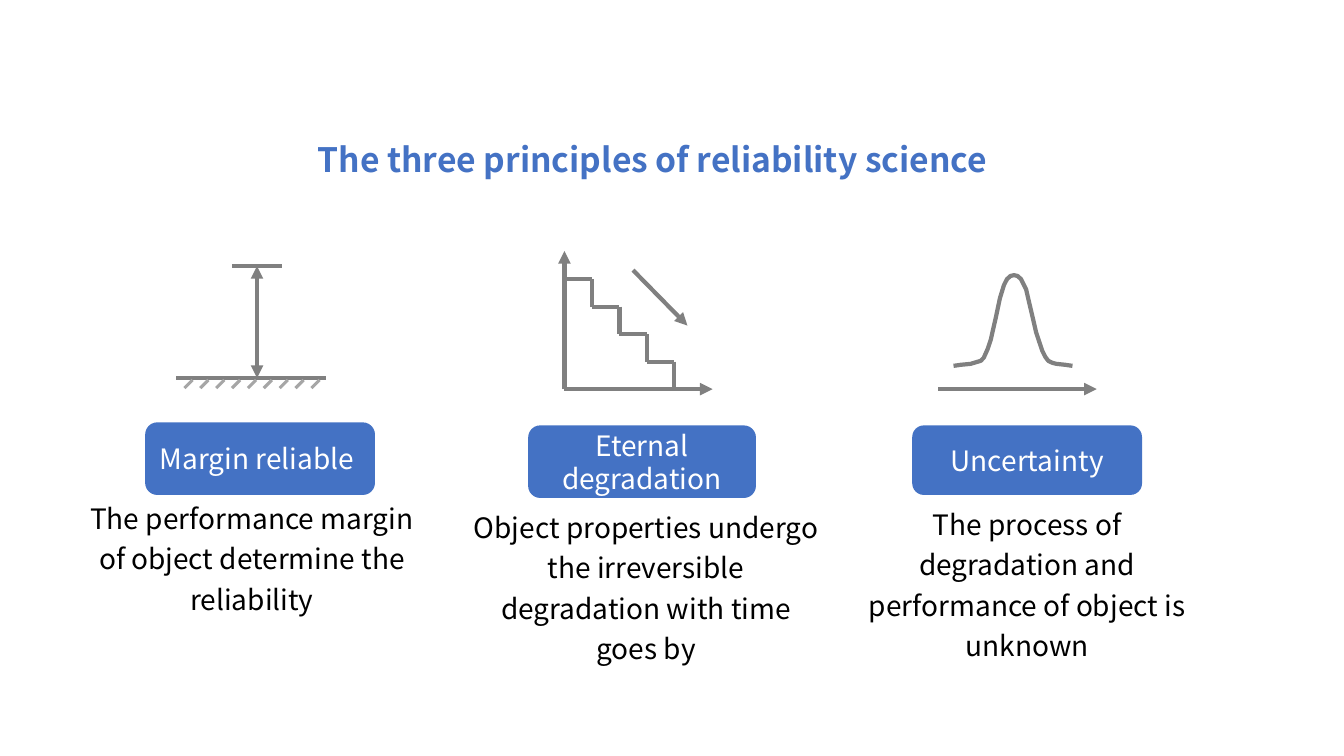
"""Build a slide on the three principles of reliability science."""
from dataclasses import dataclass
from itertools import pairwise

from lxml.etree import SubElement
from pptx import Presentation
from pptx.dml.color import RGBColor
from pptx.enum.shapes import MSO_CONNECTOR, MSO_SHAPE
from pptx.enum.text import MSO_ANCHOR, MSO_AUTO_SIZE, PP_ALIGN
from pptx.oxml.ns import qn
from pptx.shapes.base import BaseShape
from pptx.shapes.shapetree import GroupShapes
from pptx.text.text import TextFrame
from pptx.util import Emu, Inches, Pt

CELL = Inches(7.5) / 90
FONT = "Noto Sans CJK SC"
BLUE, WHITE, BLACK = "4472C4", "FFFFFF", "000000"
GRAY, LIGHT_GRAY = "808080", "A6A6A6"
Point = tuple[float, float]


@dataclass(frozen=True)
class Box:
    """A rectangle in columns and rows of the 160 by 90 grid."""

    left: float
    top: float
    width: float
    height: float


@dataclass(frozen=True)
class Stroke:
    """A straight line in grid cells, with optional arrowheads."""

    start: Point
    end: Point
    tail: bool = False
    head: bool = False
    color: str = GRAY
    width: float = 3


@dataclass(frozen=True)
class Principle:
    """One principle with its icon, button and description."""

    name: str
    button: Box
    description: str
    description_box: Box
    strokes: list[Stroke]
    curve: tuple[Point, ...] = ()


HATCHES = [
    Stroke((22.92 + 1.89 * index, 45.24), (21.96 + 1.89 * index, 46.2), color=LIGHT_GRAY, width=2.25)
    for index in range(9)
]
STAIR_CORNERS = [
    (67.2 + 3.27 * ((index + 1) // 2), 33.24 + 3.27 * (index // 2)) for index in range(9)
]
BELL_CURVE = (
    (113.52, 43.56), (114.36, 43.44), (115.56, 43.32), (116.76, 42.96), (117.12, 42.6),
    (117.6, 41.52), (117.96, 40.44), (118.2, 39.36), (118.56, 37.8), (119.04, 35.52),
    (119.52, 33.96), (119.88, 33.24), (120.3, 32.86), (120.72, 32.76), (121.14, 32.86),
    (121.56, 33.24), (122.16, 34.44), (122.52, 36), (123, 38.04), (123.36, 39.6),
    (123.72, 40.68), (124.08, 41.76), (124.44, 42.48), (124.8, 42.96), (125.28, 43.2),
    (125.76, 43.32), (126.84, 43.44), (127.68, 43.56),
)
PRINCIPLES = [
    Principle(
        "Eternal degradation",
        Box(62.88, 50.64, 27.12, 8.64),
        "Object properties undergo the irreversible degradation with time goes by",
        Box(54.72, 59.4, 44.4, 20.28),
        [
            Stroke((67.2, 46.32), (84.84, 46.32), tail=True),
            Stroke((67.2, 46.32), (67.2, 29.88), tail=True),
            *(Stroke(start, end) for start, end in pairwise(STAIR_CORNERS)),
            Stroke((75.36, 32.16), (81.84, 38.76), tail=True),
        ],
    ),
    Principle(
        "Margin reliable ",
        Box(17.28, 50.28, 27.36, 8.64),
        "The performance margin of object determine the reliability",
        Box(7.8, 58.32, 44.4, 15.36),
        [
            Stroke((21, 45), (38.76, 45)),
            Stroke((27.6, 31.68), (33.6, 31.68)),
            Stroke((30.6, 31.68), (30.6, 45), tail=True, head=True),
            *HATCHES,
        ],
    ),
    Principle(
        "Uncertainty",
        Box(108.6, 50.64, 27.36, 8.28),
        "The process of degradation and performance of object is unknown",
        Box(100.08, 59.04, 44.4, 20.28),
        [Stroke((111.72, 46.32), (130.56, 46.32), tail=True)],
        BELL_CURVE,
    ),
]


def cells(*lengths: float) -> list[Emu]:
    """Convert grid cells to slide lengths."""
    return [Emu(round(length * CELL)) for length in lengths]


def box_lengths(box: Box) -> list[Emu]:
    """Return left, top, width and height of a box."""
    return cells(box.left, box.top, box.width, box.height)


def color_of(value: str) -> RGBColor:
    """Turn a hex string into a colour."""
    return RGBColor.from_string(value)


def write_text(
    frame: TextFrame, text: str, color: str, size: float = 20, spacing: float = 1.2,
    bold: bool = False, anchor: MSO_ANCHOR = MSO_ANCHOR.TOP,
) -> None:
    """Write one centred paragraph into a text frame."""
    frame.word_wrap = True
    frame.auto_size = MSO_AUTO_SIZE.NONE
    frame.vertical_anchor = anchor
    frame.text = text
    paragraph = frame.paragraphs[0]
    paragraph.alignment = PP_ALIGN.CENTER
    paragraph.line_spacing = spacing
    paragraph.font.name = FONT
    paragraph.font.size = Pt(size)
    paragraph.font.bold = bold
    paragraph.font.color.rgb = color_of(color)


def draw_stroke(shapes: GroupShapes, stroke: Stroke) -> None:
    """Draw a straight line with its arrowheads."""
    connector = shapes.add_connector(MSO_CONNECTOR.STRAIGHT, *cells(*stroke.start, *stroke.end))
    connector.line.color.rgb = color_of(stroke.color)
    connector.line.width = Pt(stroke.width)
    line = connector.line._get_or_add_ln()
    for shown, tag in ((stroke.head, "a:headEnd"), (stroke.tail, "a:tailEnd")):
        if shown:
            SubElement(line, qn(tag), type="triangle")
    SubElement(connector._element.spPr, qn("a:effectLst"))


def draw_curve(shapes: GroupShapes, points: tuple[Point, ...]) -> None:
    """Draw an open unfilled outline through the points."""
    start, *rest = (cells(*point) for point in points)
    builder = shapes.build_freeform(*start)
    builder.add_line_segments(rest, close=False)
    curve: BaseShape = builder.convert_to_shape()
    curve.shadow.inherit = False
    curve.fill.background()
    curve.line.color.rgb = color_of(GRAY)
    curve.line.width = Pt(3)


def draw_principle(shapes: GroupShapes, principle: Principle) -> None:
    """Draw the icon, button and description of a principle."""
    for stroke in principle.strokes:
        draw_stroke(shapes, stroke)
    if principle.curve:
        draw_curve(shapes, principle.curve)
    button = shapes.add_shape(MSO_SHAPE.ROUNDED_RECTANGLE, *box_lengths(principle.button))
    button.shadow.inherit = False
    button.fill.solid()
    button.fill.fore_color.rgb = color_of(BLUE)
    button.line.fill.background()
    write_text(button.text_frame, principle.name, WHITE, spacing=1.0, anchor=MSO_ANCHOR.MIDDLE)
    description = shapes.add_textbox(*box_lengths(principle.description_box))
    write_text(description.text_frame, principle.description, BLACK)


def main() -> None:
    """Build and save the presentation."""
    presentation = Presentation()
    presentation.slide_width, presentation.slide_height = cells(160, 90)
    slide = presentation.slides.add_slide(presentation.slide_layouts[5])
    title = slide.shapes.title
    title.left, title.top, title.width, title.height = box_lengths(Box(11.04, 15, 133.2, 6.48))
    write_text(title.text_frame, "The three principles of reliability science", BLUE, 24, bold=True)
    for principle in PRINCIPLES:
        draw_principle(slide.shapes.add_group_shape().shapes, principle)
    presentation.save("out.pptx")


if __name__ == "__main__":
    main()
